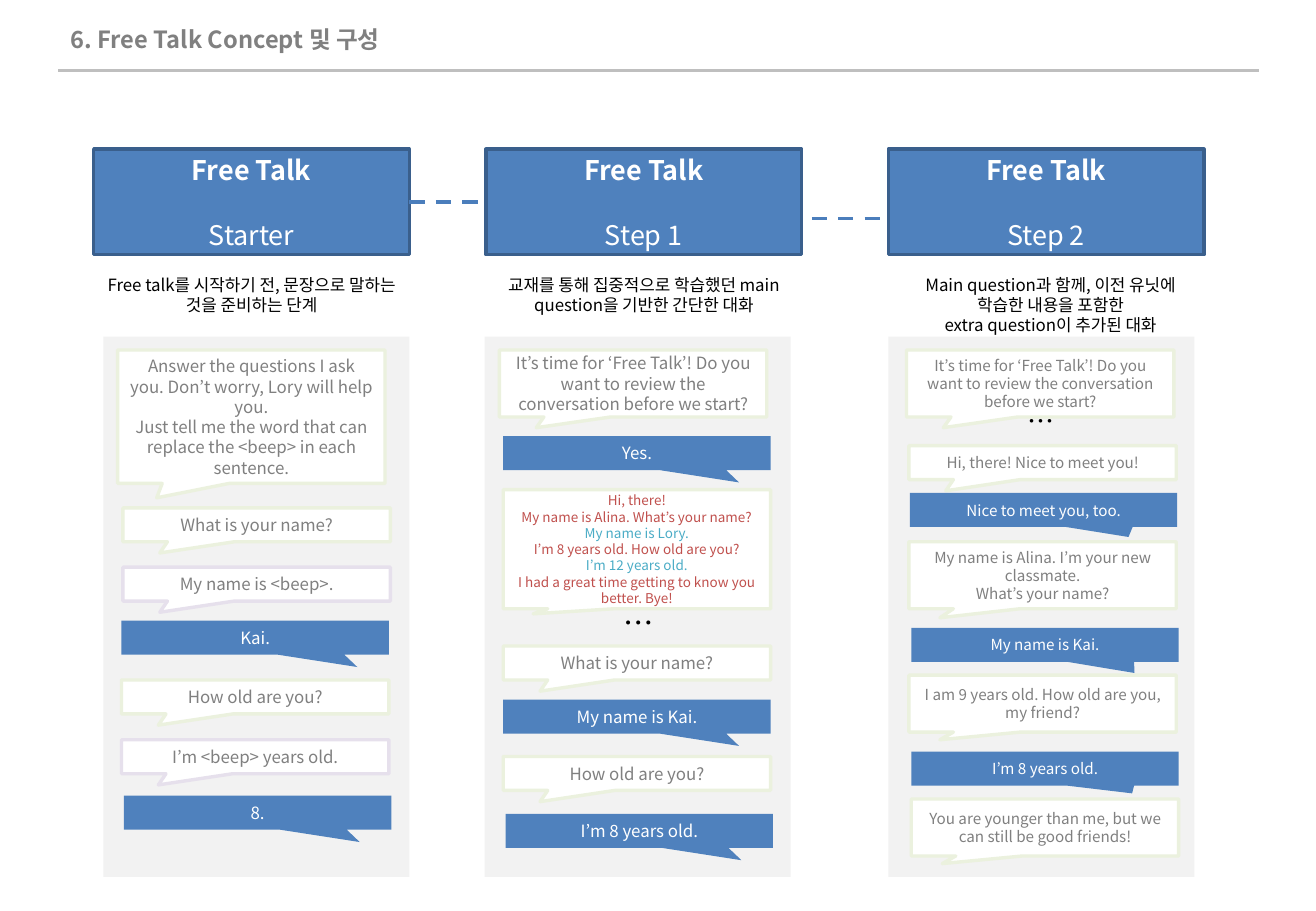
import dataclasses
import typing

import lxml.etree
import pptx
import pptx.dml.color
import pptx.enum.dml
import pptx.enum.shapes
import pptx.enum.text
import pptx.oxml.ns
import pptx.util

Cm = pptx.util.Cm
Pt = pptx.util.Pt
RGBColor = pptx.dml.color.RGBColor
Align = pptx.enum.text.PP_ALIGN
Anchor = pptx.enum.text.MSO_ANCHOR
Preset = pptx.enum.shapes.MSO_SHAPE

FONT = "Noto Sans CJK KR"
LINE_FACTOR = 1.2
BLUE = RGBColor(0x4F, 0x81, 0xBD)
BLUE_EDGE = RGBColor(0x3A, 0x5F, 0x8C)
BLUE_DASH = RGBColor(0x4B, 0x7E, 0xBC)
GREEN_EDGE = RGBColor(0xEB, 0xF1, 0xDE)
PURPLE_EDGE = RGBColor(0xE6, 0xE0, 0xEC)
PANEL_GREY = RGBColor(0xF2, 0xF2, 0xF2)
RULE_GREY = RGBColor(0xBF, 0xBF, 0xBF)
TEXT_GREY = RGBColor(0x80, 0x80, 0x80)
RED = RGBColor(0xC0, 0x50, 0x4D)
AQUA = RGBColor(0x4B, 0xAC, 0xC6)
WHITE = RGBColor(0xFF, 0xFF, 0xFF)
BLACK = RGBColor(0, 0, 0)


class Box(typing.NamedTuple):
    """Position and size in centimetres."""
    left: float
    top: float
    width: float
    height: float


class Line(typing.NamedTuple):
    """One paragraph of text."""
    text: str
    colour: RGBColor
    size: float = 10
    bold: bool = False
    space_before: float = 0


class Style(typing.NamedTuple):
    """Colours of one kind of speech bubble."""
    fill: RGBColor
    edge: RGBColor | None
    text: RGBColor
    tail: tuple[float, float]


TUTOR = Style(WHITE, GREEN_EDGE, TEXT_GREY, (-0.362, 0.83))
HINT = Style(WHITE, PURPLE_EDGE, TEXT_GREY, (-0.362, 0.83))
LEARNER = Style(BLUE, None, WHITE, (0.382, 0.865))


@dataclasses.dataclass(frozen=True)
class Bubble:
    """A speech bubble; tail and colours override those of its style."""
    style: Style
    left: float
    top: float
    texts: tuple[str, ...]
    height: float = 0.71
    tail: tuple[float, float] | None = None
    size: float | None = None
    colours: tuple[RGBColor, ...] = ()


@dataclasses.dataclass(frozen=True)
class Stage:
    """One column: header, caption, panel and conversation."""
    name: str
    left: float
    panel_left: float
    caption: tuple[str, ...]
    caption_box: Box
    size: float
    bubbles: tuple[Bubble, ...]
    ellipsis: tuple[Box, float] | None = None


REVIEW = ("It’s time for ‘Free Talk’! Do you want to review the conversation before we start?",)
LONG_TAIL = (-0.384, 0.635)
STAGES = (
    Stage("Starter", 1.96, 2.16, ("Free talk를 시작하기 전, 문장으로 말하는 것을 준비하는 단계",),
          Box(1.96, 5.61, 6.6, 1.12), 10, (
        Bubble(TUTOR, 2.46, 7.32, (
            "Answer the questions I ask you. Don’t worry, Lory will help you.",
            "Just tell me the word that can replace the <beep> in each sentence."),
            2.79, (-0.354, 0.608)),
        Bubble(TUTOR, 2.57, 10.62, ("What is your name?",)),
        Bubble(HINT, 2.57, 11.86, ("My name is <beep>.",)),
        Bubble(LEARNER, 2.54, 12.98, ("Kai.",)),
        Bubble(TUTOR, 2.54, 14.22, ("How old are you?",)),
        Bubble(HINT, 2.54, 15.47, ("I’m <beep> years old.",)),
        Bubble(LEARNER, 2.59, 16.64, ("8.",)))),
    Stage("Step 1", 10.16, 10.13, ("교재를 통해 집중적으로 학습했던 main question을 기반한 간단한 대화",),
          Box(10.16, 5.61, 6.6, 1.12), 10, (
        Bubble(TUTOR, 10.44, 7.32, REVIEW, 1.4, (-0.362, 0.66)),
        Bubble(LEARNER, 10.52, 9.12, ("Yes.",)),
        Bubble(TUTOR, 10.52, 10.24, (
            "Hi, there!", "My name is Alina. What’s your name?", "My name is Lory.",
            "I’m 8 years old. How old are you?", "I’m 12 years old.",
            "I had a great time getting to know you better. Bye!"),
            2.49, (-0.388, 0.543), 8, (RED, RED, AQUA, RED, AQUA, RED)),
        Bubble(TUTOR, 10.52, 13.51, ("What is your name?",)),
        Bubble(LEARNER, 10.52, 14.63, ("My name is Kai.",)),
        Bubble(TUTOR, 10.52, 15.82, ("How old are you?",)),
        Bubble(LEARNER, 10.57, 17.02, ("I’m 8 years old.",))),
        (Box(10.16, 12.5, 6.38, 1.02), 18)),
    Stage("Step 2", 18.57, 18.57, ("Main question과 함께, 이전 유닛에", "학습한 내용을 포함한",
                                   "extra question이 추가된 대화"),
          Box(18.16, 5.61, 7.6, 1.55), 9, (
        Bubble(TUTOR, 18.95, 7.32, REVIEW, 1.4, (-0.362, 0.66)),
        Bubble(TUTOR, 19, 9.32, ("Hi, there! Nice to meet you!",)),
        Bubble(LEARNER, 19.02, 10.31, ("Nice to meet you, too.",), tail=(0.318, 0.796)),
        Bubble(TUTOR, 19, 11.33, ("My name is Alina. I’m your new classmate.", "What’s your name?"),
               1.4, LONG_TAIL),
        Bubble(LEARNER, 19.05, 13.13, ("My name is Kai.",), tail=(0.335, 0.83)),
        Bubble(TUTOR, 19, 14.12, ("I am 9 years old. How old are you, my friend?",), 1.19, LONG_TAIL),
        Bubble(LEARNER, 19.05, 15.72, ("I’m 8 years old.",), tail=(0.326, 0.728)),
        Bubble(TUTOR, 19.05, 16.71, ("You are younger than me, but we can still be good friends!",),
               1.19, LONG_TAIL)),
        (Box(18.57, 8.33, 6.38, 0.94), 16)),
)


def set_attributes(target: typing.Any, values: dict[str, typing.Any]) -> None:
    """Set every named value on the target."""
    for name, value in values.items():
        setattr(target, name, value)


def write_lines(shape: typing.Any, lines: typing.Sequence[Line], anchor: Anchor,
                alignment: Align = Align.CENTER) -> None:
    """Fill a shape with formatted paragraphs."""
    frame = shape.text_frame
    set_attributes(frame, {"word_wrap": True, "vertical_anchor": anchor,
                           "auto_size": pptx.enum.text.MSO_AUTO_SIZE.NONE})
    for index, line in enumerate(lines):
        paragraph = frame.add_paragraph() if index else frame.paragraphs[0]
        set_attributes(paragraph, {"alignment": alignment, "space_before": Pt(line.space_before),
                                   "line_spacing": Pt(line.size * LINE_FACTOR)})
        run = paragraph.add_run()
        run.text = line.text
        set_attributes(run.font, {"name": FONT, "size": Pt(line.size), "bold": line.bold})
        run.font.color.rgb = line.colour
        east_asian = lxml.etree.SubElement(run._r.get_or_add_rPr(), pptx.oxml.ns.qn("a:ea"))
        east_asian.set("typeface", FONT)


def add_block(slide: typing.Any, preset: Preset, box: Box, fill: RGBColor,
              edge: RGBColor | None = None) -> typing.Any:
    """Add a filled preset shape, outlined when an edge colour is given."""
    shape = slide.shapes.add_shape(preset, *map(Cm, box))
    shape.shadow.inherit = False
    shape.fill.solid()
    shape.fill.fore_color.rgb = fill
    if edge is None:
        shape.line.fill.background()
    else:
        shape.line.color.rgb = edge
        shape.line.width = Pt(2)
    return shape


def add_text(slide: typing.Any, box: Box, lines: typing.Sequence[Line]) -> None:
    """Add a text box anchored at the top."""
    write_lines(slide.shapes.add_textbox(*map(Cm, box)), lines, Anchor.TOP)


def add_rule(slide: typing.Any, left: float, right: float, top: float, colour: RGBColor,
             width: float, dashed: bool = False) -> None:
    """Add a horizontal line."""
    rule = slide.shapes.add_connector(pptx.enum.shapes.MSO_CONNECTOR.STRAIGHT,
                                      Cm(left), Cm(top), Cm(right), Cm(top))
    rule.line.color.rgb = colour
    rule.line.width = Pt(width)
    if dashed:
        rule.line.dash_style = pptx.enum.dml.MSO_LINE.DASH
    lxml.etree.SubElement(rule._element.spPr, pptx.oxml.ns.qn("a:effectLst"))


def add_bubble(slide: typing.Any, bubble: Bubble, default_size: float) -> None:
    """Add a speech bubble with its tail and text."""
    style = bubble.style
    shape = add_block(slide, Preset.RECTANGULAR_CALLOUT,
                      Box(bubble.left, bubble.top, 5.59, bubble.height), style.fill, style.edge)
    for index, value in enumerate(bubble.tail or style.tail):
        shape.adjustments[index] = value
    colours = bubble.colours or (style.text,) * len(bubble.texts)
    write_lines(shape, [Line(text, colour, bubble.size or default_size)
                        for text, colour in zip(bubble.texts, colours)], Anchor.MIDDLE)


def add_stage(slide: typing.Any, stage: Stage) -> None:
    """Add one complete column."""
    header = add_block(slide, Preset.RECTANGLE, Box(stage.left, 3.12, 6.6, 2.21), BLUE, BLUE_EDGE)
    write_lines(header, (Line("Free Talk", WHITE, 16, True),
                         Line(stage.name, WHITE, 16, space_before=19.2)), Anchor.MIDDLE)
    add_text(slide, stage.caption_box, [Line(text, BLACK) for text in stage.caption])
    add_block(slide, Preset.RECTANGLE, Box(stage.panel_left, 7.04, 6.4, 11.3), PANEL_GREY)
    for bubble in stage.bubbles:
        add_bubble(slide, bubble, stage.size)
    if stage.ellipsis:
        box, size = stage.ellipsis
        add_text(slide, box, [Line("…", BLACK, size)])


presentation = pptx.Presentation()
set_attributes(presentation, {"slide_width": Cm(27.51), "slide_height": Cm(19.05)})
slide = presentation.slides.add_slide(presentation.slide_layouts[5])
title = slide.shapes.title
set_attributes(title, {"left": Cm(1.22), "top": Cm(0.38), "width": Cm(10.8), "height": Cm(0.86)})
write_lines(title, [Line("6. Free Talk Concept 및 구성", TEXT_GREY, 14, True)],
            Anchor.MIDDLE, Align.LEFT)
add_rule(slide, 1.22, 26.31, 1.47, RULE_GREY, 1.5)
for stage in STAGES:
    add_stage(slide, stage)
add_rule(slide, 8.56, 10.16, 4.22, BLUE_DASH, 2.25, dashed=True)
add_rule(slide, 16.97, 18.57, 4.57, BLUE_DASH, 2.25, dashed=True)
presentation.save("out.pptx")
